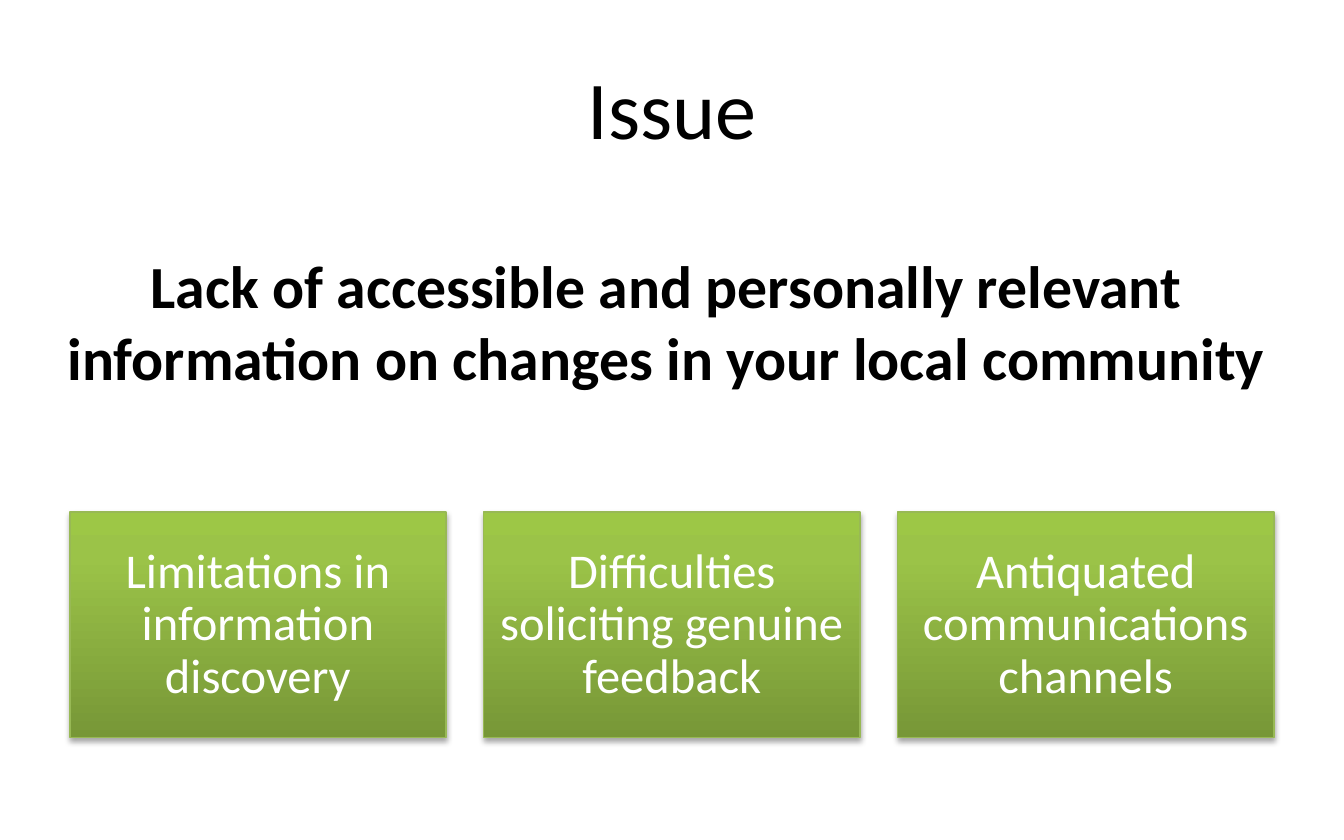
from copy import deepcopy
from typing import NamedTuple

from lxml.etree import SubElement
from pptx import Presentation
from pptx.dml.color import RGBColor
from pptx.enum.shapes import MSO_SHAPE
from pptx.enum.text import MSO_ANCHOR, MSO_AUTO_SIZE, PP_ALIGN
from pptx.oxml import parse_xml
from pptx.oxml.ns import qn
from pptx.util import Pt

PX = 9144  # 100 px to the inch
FONT = "Calibri"
STOPS = [(0, "779737"), (0.8, "9BC348"), (1, "9DC746")]
EDGE = "98B955"
SHADOW = (
    '<a:effectLst xmlns:a="http://schemas.openxmlformats.org/drawingml/2006/main">'
    '<a:outerShdw blurRad="40000" dist="23000" dir="5400000" rotWithShape="0">'
    '<a:srgbClr val="000000"><a:alpha val="35000"/></a:srgbClr>'
    "</a:outerShdw></a:effectLst>"
)


class Box(NamedTuple):
    left: int
    top: int
    width: int
    height: int


class Style(NamedTuple):
    size: int
    color: str
    bold: bool = False
    anchor: MSO_ANCHOR = MSO_ANCHOR.MIDDLE
    spacing: float = 1.0


TITLE = Style(44, "000000")
LEAD = Style(32, "000000", bold=True, anchor=MSO_ANCHOR.TOP)
CARD = Style(26, "FFFFFF", spacing=0.9)

FIRST = Box(52, 381, 280, 168)
STEP = 308
CAUSES = [
    "Limitations in information discovery",
    "Difficulties soliciting genuine feedback",
    "Antiquated communications channels",
]


def paint(text: str) -> RGBColor:
    return RGBColor.from_string(text)


def place(shape, box: Box) -> None:
    shape.left, shape.top, shape.width, shape.height = (n * PX for n in box)


def write(shape, text: str, style: Style) -> None:
    frame = shape.text_frame
    frame.text = text
    frame.word_wrap = True
    frame.auto_size = MSO_AUTO_SIZE.NONE
    frame.vertical_anchor = style.anchor
    para = frame.paragraphs[0]
    para.alignment = PP_ALIGN.CENTER
    para.line_spacing = style.spacing
    para.space_before = Pt(0)
    font = para.runs[0].font
    font.name, font.size, font.bold = FONT, Pt(style.size), style.bold
    font.color.rgb = paint(style.color)


def shade(shape) -> None:
    """Fill with the upward green gradient and cast a soft shadow below."""
    fill = shape.fill
    fill.gradient()
    fill.gradient_angle = 90
    stops = shape._element.spPr.find(qn("a:gradFill")).find(qn("a:gsLst"))
    stops.append(deepcopy(stops[-1]))
    for stop, (spot, color) in zip(fill.gradient_stops, STOPS):
        stop.position = spot
        stop.color.rgb = paint(color)
    shape.line.color.rgb = paint(EDGE)
    shape.line.width = Pt(0.75)
    shape._element.spPr.append(parse_xml(SHADOW))


def add_card(slide, box: Box, text: str) -> None:
    card = slide.shapes.add_shape(MSO_SHAPE.RECTANGLE, *(n * PX for n in box))
    shade(card)
    write(card, text, CARD)
    frame = card.text_frame
    frame.margin_left = frame.margin_right = 11 * PX
    frame.margin_top = frame.margin_bottom = 11 * PX


def main() -> None:
    deck = Presentation()
    deck.slide_width, deck.slide_height = 1000 * PX, 625 * PX
    slide = deck.slides.add_slide(deck.slide_layouts[1])

    title, lead = slide.placeholders
    place(title, Box(50, 27, 900, 104))
    write(title, "Issue", TITLE)

    place(lead, Box(20, 116, 952, 412))
    write(
        lead,
        "Lack of accessible and personally relevant "
        "information on changes in your local community",
        LEAD,
    )
    lead.text_frame.margin_top = 69 * PX
    props = lead.text_frame.paragraphs[0]._p.get_or_add_pPr()
    props.set("marL", "0")
    props.set("indent", "0")
    SubElement(props, qn("a:buNone"))

    for i, cause in enumerate(CAUSES):
        add_card(slide, FIRST._replace(left=FIRST.left + i * STEP), cause)

    deck.save("out.pptx")


if __name__ == "__main__":
    main()
